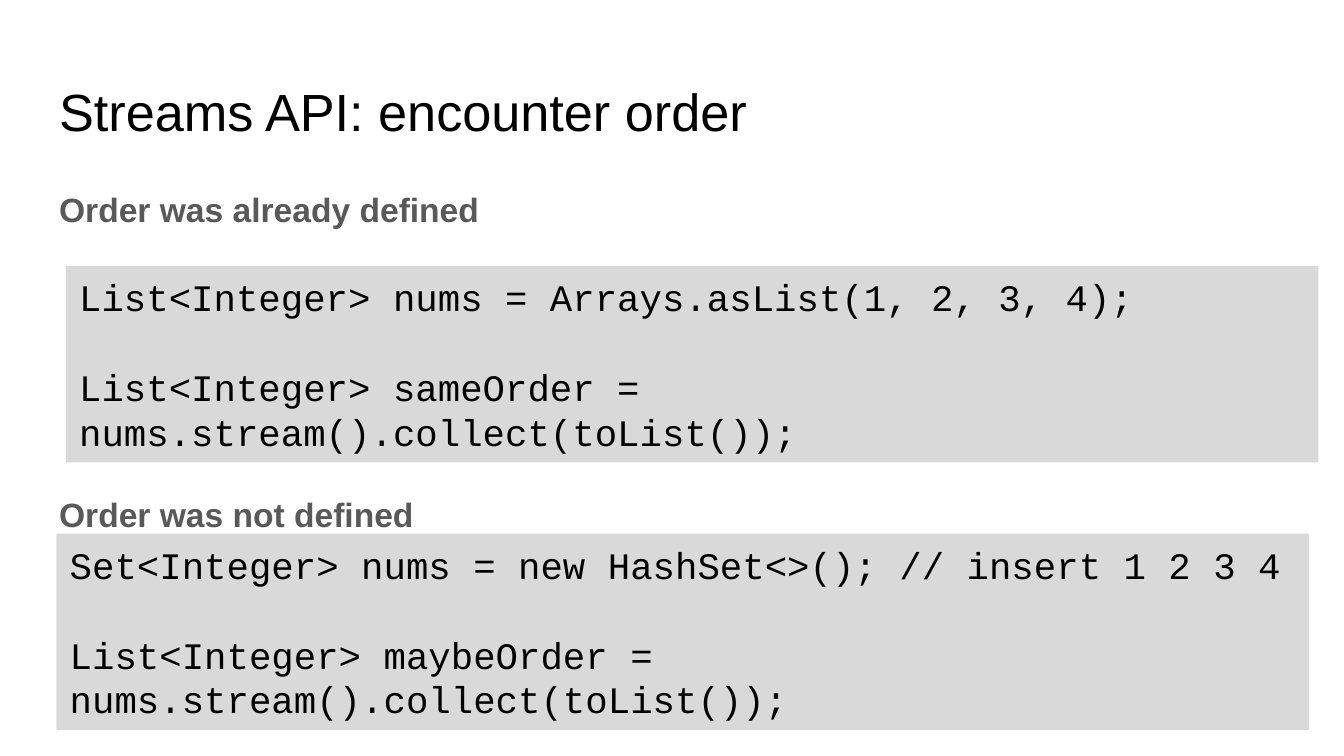
import pptx
import pptx.util
import pptx.dml.color
import pptx.enum.shapes
import pptx.enum.text
import pptx.oxml.ns
import lxml.etree

Inches, Pt = pptx.util.Inches, pptx.util.Pt
RGB = pptx.dml.color.RGBColor
Align = pptx.enum.text.PP_ALIGN
Anchor = pptx.enum.text.MSO_ANCHOR

BLACK = RGB(0x00, 0x00, 0x00)
GRAY = RGB(0x59, 0x59, 0x59)
PALE = RGB(0xD9, 0xD9, 0xD9)

WIDE = Inches(10)
HIGH = WIDE * 9 // 16
SPAN = 93.2  # common width, percent of the slide
PAD = Inches(0.1)

TITLE = dict(name="Arial", size=Pt(28), bold=False)
HEAD = dict(name="Arial", size=Pt(18), bold=True)
CODE = dict(name="Courier New", size=Pt(20), bold=False)


def put(item, values):
    for key, value in values.items():
        setattr(item, key, value)


def place(shape, left, top, high):
    """Position a shape by percent of the slide."""
    put(shape, dict(left=int(WIDE * left / 100), top=int(HIGH * top / 100),
                    width=int(WIDE * SPAN / 100),
                    height=int(HIGH * high / 100)))


def write(shape, lines, font, color, anchor, para):
    """Fill a text frame, one paragraph a line."""
    text = shape.text_frame
    put(text, dict(word_wrap=True, auto_size=pptx.enum.text.MSO_AUTO_SIZE.NONE,
                   margin_left=PAD, margin_right=PAD,
                   margin_top=PAD, margin_bottom=PAD,
                   vertical_anchor=anchor))
    text.text = "\n".join(lines)
    for part in text.paragraphs:
        put(part, dict(alignment=Align.LEFT, space_before=Pt(0)))
        put(part, para)
        for run in part.runs:
            put(run.font, font)
            run.font.color.rgb = color


def plain(part):
    """Drop the bullet and indent of a paragraph."""
    props = part._p.get_or_add_pPr()
    props.set("marL", "0")
    props.set("indent", "0")
    lxml.etree.SubElement(props, pptx.oxml.ns.qn("a:buNone"))


def heads(body, lines):
    place(body, 3.4, 22.4, 66.49)
    write(body, lines, HEAD, GRAY, Anchor.TOP,
          dict(line_spacing=1.15, space_after=Pt(16)))
    for part in body.text_frame.paragraphs:
        plain(part)
    # Room for the first code box
    body.text_frame.paragraphs[0].space_after = Pt(138.5)


def code(slide, left, top, lines):
    box = slide.shapes.add_shape(
        pptx.enum.shapes.MSO_SHAPE.RECTANGLE, 0, 0, WIDE, HIGH)
    place(box, left, top, 25.96)
    box.shadow.inherit = False
    box.fill.solid()
    box.fill.fore_color.rgb = PALE
    box.line.fill.background()
    write(box, lines, CODE, BLACK, Anchor.MIDDLE, {})
    # One open line between the statements
    box.text_frame.paragraphs[1].space_before = Pt(24)


def main():
    deck = pptx.Presentation()
    put(deck, dict(slide_width=WIDE, slide_height=HIGH))
    slide = deck.slides.add_slide(deck.slide_layouts[1])
    title, body = slide.placeholders

    # Title
    place(title, 3.4, 8.71, 11.2)
    write(title, ["Streams API: encounter order"], TITLE, BLACK,
          Anchor.TOP, {})

    # Headings
    heads(body, ["Order was already defined", "Order was not defined"])

    # Code boxes
    code(slide, 4.9, 35.2, [
        "List<Integer> nums = Arrays.asList(1, 2, 3, 4);",
        "List<Integer> sameOrder = \tnums.stream().collect(toList());"])
    code(slide, 4.2, 70.58, [
        "Set<Integer> nums = new HashSet<>(); // insert 1 2 3 4 ",
        "List<Integer> maybeOrder = \tnums.stream().collect(toList());"])

    deck.save("out.pptx")


main()
